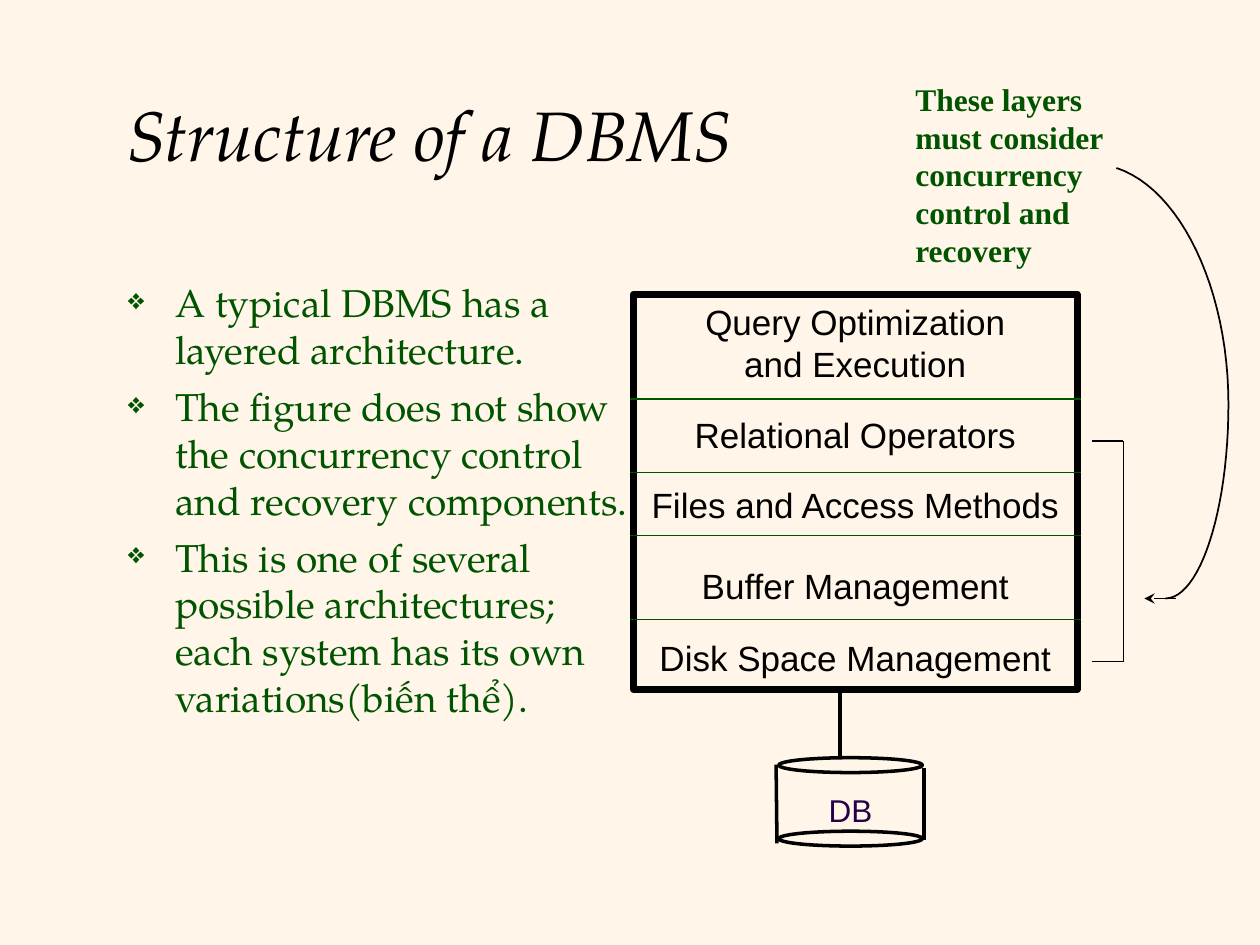
"""Build the slide on the layered structure of a DBMS."""
from lxml import etree
from pptx import Presentation
from pptx.dml.color import RGBColor
from pptx.enum import shapes, text
from pptx.oxml import ns
from pptx.util import Pt

BLACK = RGBColor(0x00, 0x00, 0x00)
GREEN = RGBColor(0x00, 0x54, 0x00)
PURPLE = RGBColor(0x28, 0x00, 0x49)
CREAM = RGBColor(0xFF, 0xF6, 0xE9)

deck = Presentation()
deck.slide_width, deck.slide_height = Pt(720), Pt(540)
slide = deck.slides.add_slide(deck.slide_layouts[6])
slide.background.fill.solid()
slide.background.fill.fore_color.rgb = CREAM


def write(lines, left, top, width, height, size, font="Arial", color=BLACK,
          bold=False, italic=False, align=text.PP_ALIGN.LEFT,
          anchor=text.MSO_ANCHOR.TOP, bullet=None):
    frame = slide.shapes.add_textbox(Pt(left), Pt(top), Pt(width), Pt(height)).text_frame
    frame.word_wrap = True
    frame.vertical_anchor = anchor
    frame.text = "\n".join(lines)
    for paragraph in frame.paragraphs:
        paragraph.alignment = align
        style = paragraph.runs[0].font
        style.name, style.size, style.color.rgb = font, Pt(size), color
        style.bold, style.italic = bold, italic
        if bullet:
            paragraph.space_before = Pt(6)
            props = paragraph._p.get_or_add_pPr()
            props.set("marL", str(Pt(27)))
            props.set("indent", str(-Pt(27)))
            etree.SubElement(props, ns.qn("a:buSzPct"), val="75000")
            etree.SubElement(props, ns.qn("a:buChar"), char=bullet)


def draw_line(x1, y1, x2, y2, width=1, color=BLACK, head=None):
    line = slide.shapes.add_connector(shapes.MSO_CONNECTOR.STRAIGHT,
                                      Pt(x1), Pt(y1), Pt(x2), Pt(y2))
    line.line.width = Pt(width)
    line.line.color.rgb = color
    if head:
        etree.SubElement(line.line._get_or_add_ln(), ns.qn("a:tailEnd"), type=head)
    etree.SubElement(line._element.spPr, ns.qn("a:effectLst"))


write(["Structure of a DBMS"], 66, 33, 612, 87, 40, "TeX Gyre Pagella",
      italic=True, anchor=text.MSO_ANCHOR.MIDDLE)
write(["A typical DBMS has a layered architecture.",
       "The figure does not show the concurrency control and recovery components.",
       "This is one of several possible architectures; each system has its own "
       "variations(biến thể)."],
      66, 156, 300.5, 321, 22.2, "TeX Gyre Pagella", GREEN, bullet="❖")

layers = [
    (["Query Optimization", "and Execution"], 168),
    (["Relational Operators"], 232.5),
    (["Files and Access Methods"], 273),
    (["Buffer Management"], 319),
    (["Disk Space Management"], 360),
]
for names, top in layers:
    write(names, 362, top, 253.5, 31 if len(names) == 1 else 55, 20,
          align=text.PP_ALIGN.CENTER)

outlines = [
    (shapes.MSO_SHAPE.RECTANGLE, 362, 168, 253.5, 226, 4),
    (shapes.MSO_SHAPE.OVAL, 445, 433, 82, 8.5, 2),
    (shapes.MSO_SHAPE.OVAL, 445, 475, 82, 8.5, 2),
]
for kind, left, top, width, height, weight in outlines:
    outline = slide.shapes.add_shape(kind, Pt(left), Pt(top), Pt(width), Pt(height))
    outline.shadow.inherit = False
    outline.fill.background()
    outline.line.color.rgb = BLACK
    outline.line.width = Pt(weight)

for divider in (228, 270, 306, 354):
    draw_line(360, divider, 618, divider, color=GREEN)

draw_line(443.5, 437, 444, 482, 2)
draw_line(528, 439, 528, 480, 2)
draw_line(480, 396, 480, 432, 2)
write(["DB"], 445, 448.5, 82, 29, 18, color=PURPLE, align=text.PP_ALIGN.CENTER)

for bracket_end in (252, 378):
    draw_line(624, bracket_end, 642, bracket_end)
draw_line(642, 252, 642, 378)

write(["These layers", "must consider", "concurrency", "control and", "recovery"],
      516, 42, 130, 115, 18, "Times New Roman", GREEN, bold=True)

arcs = [
    ((638, 96), (674.5, 108), (702, 165), (702, 231)),
    ((702, 231), (702, 292), (685.5, 342), (666, 342)),
]
STEPS = 24
sweep = []
for arc in arcs:
    for step in range(1, STEPS + 1):
        t = step / STEPS
        weights = ((1 - t) ** 3, 3 * t * (1 - t) ** 2, 3 * t ** 2 * (1 - t), t ** 3)
        sweep.append([Pt(sum(w * point[axis] for w, point in zip(weights, arc)))
                      for axis in (0, 1)])
pen = slide.shapes.build_freeform(Pt(638), Pt(96))
pen.add_line_segments(sweep, close=False)
curve = pen.convert_to_shape()
curve.shadow.inherit = False
curve.fill.background()
curve.line.color.rgb = BLACK
curve.line.width = Pt(1)
draw_line(672, 342, 654, 342, head="stealth")

deck.save("out.pptx")
